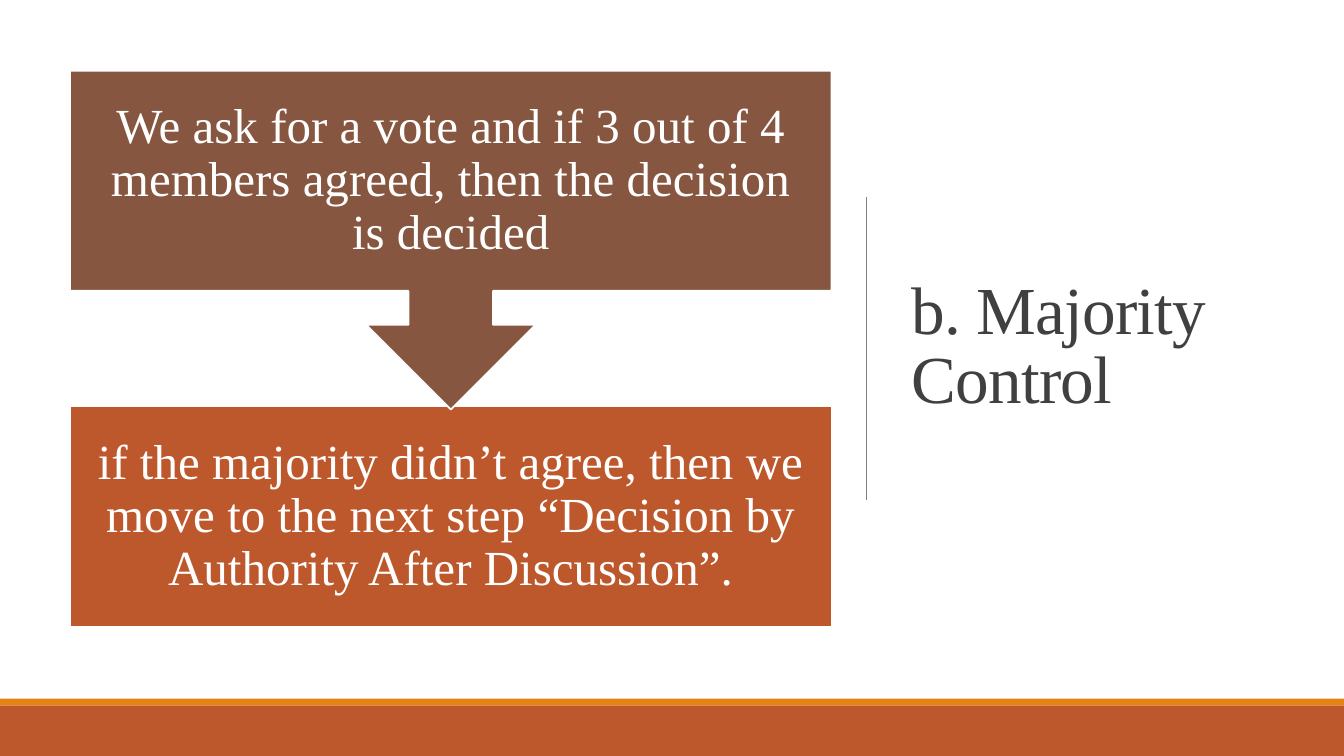
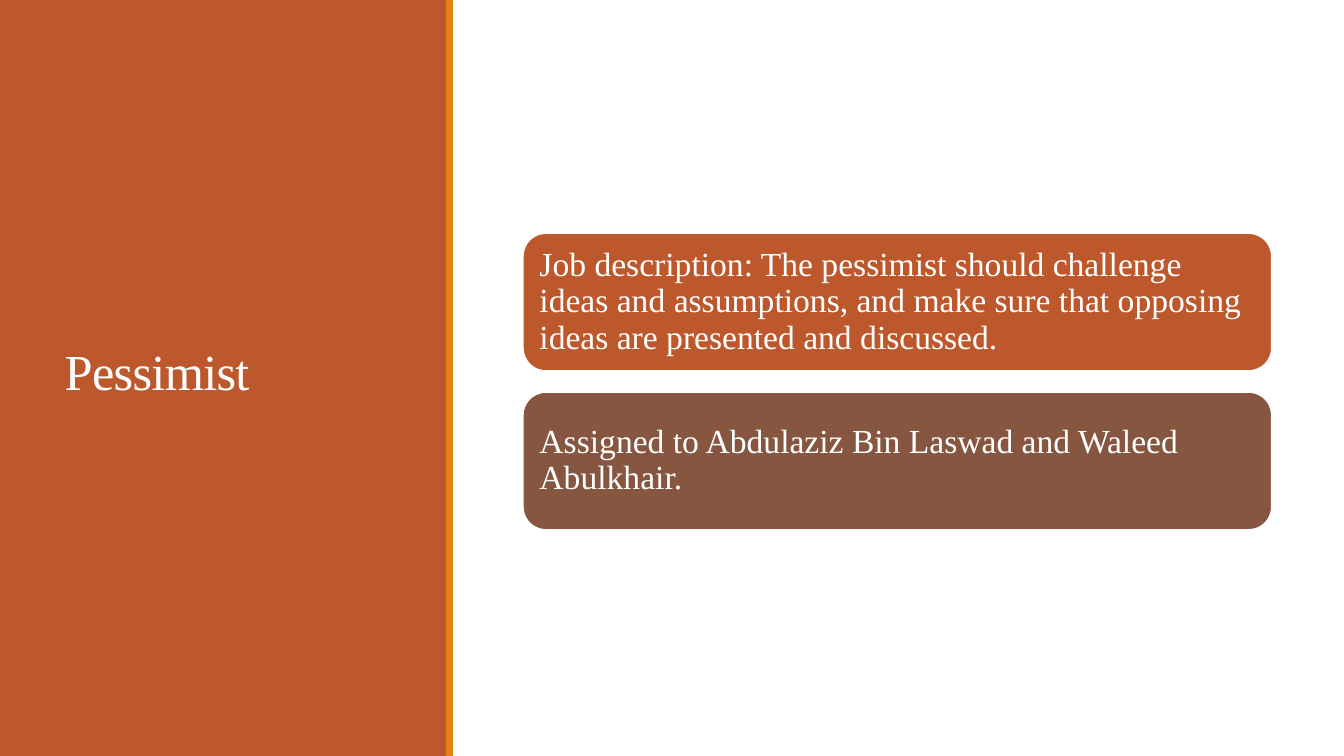
"""Build two slides on group decisions and roles."""
from dataclasses import dataclass

from lxml import etree
from pptx import Presentation
from pptx.dml.color import RGBColor
from pptx.enum.shapes import MSO_CONNECTOR, MSO_SHAPE
from pptx.enum.text import MSO_ANCHOR, MSO_AUTO_SIZE, PP_ALIGN
from pptx.oxml.ns import qn
from pptx.shapes.autoshape import Shape
from pptx.slide import Slide
from pptx.util import Pt

RECTANGLE = MSO_SHAPE.RECTANGLE
ROUNDED = MSO_SHAPE.ROUNDED_RECTANGLE
CALLOUT = MSO_SHAPE.DOWN_ARROW_CALLOUT
STRAIGHT = MSO_CONNECTOR.STRAIGHT
MIDDLE = MSO_ANCHOR.MIDDLE
NO_FIT = MSO_AUTO_SIZE.NONE
LEFT, CENTER = PP_ALIGN.LEFT, PP_ALIGN.CENTER

WHITE = RGBColor(0xFF, 0xFF, 0xFF)
RUST = RGBColor(0xBD, 0x58, 0x2C)
ORANGE = RGBColor(0xE4, 0x83, 0x12)
BROWN = RGBColor(0x86, 0x56, 0x40)
CHARCOAL = RGBColor(0x40, 0x40, 0x40)
GRAY = RGBColor(0x80, 0x80, 0x80)

FONT = "Times New Roman"
PAGE_WIDTH, PAGE_HEIGHT = 960, 540
TITLE_ONLY = 5
STRIPE = 5


@dataclass(frozen=True)
class Frame:
    left: float
    top: float
    width: float
    height: float

    def lengths(self) -> tuple[Pt, Pt, Pt, Pt]:
        return Pt(self.left), Pt(self.top), Pt(self.width), Pt(self.height)


@dataclass(frozen=True)
class TextStyle:
    size: float
    color: RGBColor = WHITE
    align: PP_ALIGN = LEFT
    spacing: float = 0.9


@dataclass(frozen=True)
class Card:
    text: str
    frame: Frame
    fill: RGBColor
    kind: MSO_SHAPE


def write_text(shape: Shape, text: str, style: TextStyle) -> None:
    frame = shape.text_frame
    frame.text = text
    frame.word_wrap = True
    frame.auto_size = NO_FIT
    frame.vertical_anchor = MIDDLE
    para = frame.paragraphs[0]
    para.alignment = style.align
    para.line_spacing = style.spacing
    para.font.name = FONT
    para.font.size = Pt(style.size)
    para.font.color.rgb = style.color


def add_block(page: Slide, kind: MSO_SHAPE, frame: Frame, fill: RGBColor) -> Shape:
    block = page.shapes.add_shape(kind, *frame.lengths())
    block.shadow.inherit = False
    block.fill.solid()
    block.fill.fore_color.rgb = fill
    block.line.fill.background()
    return block


def add_card(page: Slide, card: Card, style: TextStyle, inset: float) -> None:
    box = add_block(page, card.kind, card.frame, card.fill)
    box.line.color.rgb = WHITE
    box.line.width = Pt(1.25)
    write_text(box, card.text, style)
    frame = box.text_frame
    frame.margin_left = frame.margin_right = Pt(inset)
    frame.margin_top = frame.margin_bottom = Pt(inset)


def add_title(page: Slide, text: str, frame: Frame, size: float, color: RGBColor) -> None:
    title = page.shapes.title
    title.left, title.top, title.width, title.height = frame.lengths()
    write_text(title, text, TextStyle(size, color, spacing=0.85))
    for properties in title.element.iter(qn("a:defRPr")):
        properties.set("spc", "-50")
    page.shapes.element.append(title.element)


def add_divider(page: Slide, left: float, top: float, bottom: float) -> None:
    divider = page.shapes.add_connector(STRAIGHT, Pt(left), Pt(top), Pt(left), Pt(bottom))
    divider.line.color.rgb = GRAY
    divider.line.width = Pt(0.5)
    etree.SubElement(divider.element.spPr, qn("a:effectLst"))


def build_majority(page: Slide) -> None:
    band_top = 504
    add_block(page, RECTANGLE, Frame(0, band_top - STRIPE, PAGE_WIDTH, STRIPE), ORANGE)
    add_block(page, RECTANGLE, Frame(0, band_top, PAGE_WIDTH, PAGE_HEIGHT - band_top), RUST)
    add_title(page, "b. Majority Control", Frame(643.7, 49.7, 265.7, 398), 48, CHARCOAL)
    add_divider(page, 618.8, 141, 357)
    left, width = 50, 544
    cards = (
        Card("if the majority didn’t agree, then we move to the next step "
             "“Decision by Authority After Discussion”.",
             Frame(left, 290, width, 157.5), RUST, RECTANGLE),
        Card("We ask for a vote and if 3 out of 4 members agreed, "
             "then the decision is decided",
             Frame(left, 50.5, width, 242), BROWN, CALLOUT),
    )
    for card in cards:
        add_card(page, card, TextStyle(35, align=CENTER), 19.2)


def build_pessimist(page: Slide) -> None:
    panel_width = 318.5
    add_block(page, RECTANGLE, Frame(0, 0, panel_width, PAGE_HEIGHT), RUST)
    add_block(page, RECTANGLE, Frame(panel_width, 0, STRIPE, PAGE_HEIGHT), ORANGE)
    add_title(page, "Pessimist", Frame(39, 41, 242.6, 454.3), 36, WHITE)
    rows = (
        ("Job description: The pessimist should challenge ideas and assumptions, "
         "and make sure that opposing ideas are presented and discussed.", RUST),
        ("Assigned to Abdulaziz Bin Laswad and Waleed Abulkhair.", BROWN),
    )
    top, height, gap = 166.5, 98.5, 15
    for index, (text, fill) in enumerate(rows):
        frame = Frame(373.5, top + index * (height + gap), 535, height)
        add_card(page, Card(text, frame, fill, ROUNDED), TextStyle(24), 7.2)


def main() -> None:
    deck = Presentation()
    deck.slide_width, deck.slide_height = Pt(PAGE_WIDTH), Pt(PAGE_HEIGHT)
    for build in (build_majority, build_pessimist):
        build(deck.slides.add_slide(deck.slide_layouts[TITLE_ONLY]))
    deck.save("out.pptx")


if __name__ == "__main__":
    main()
